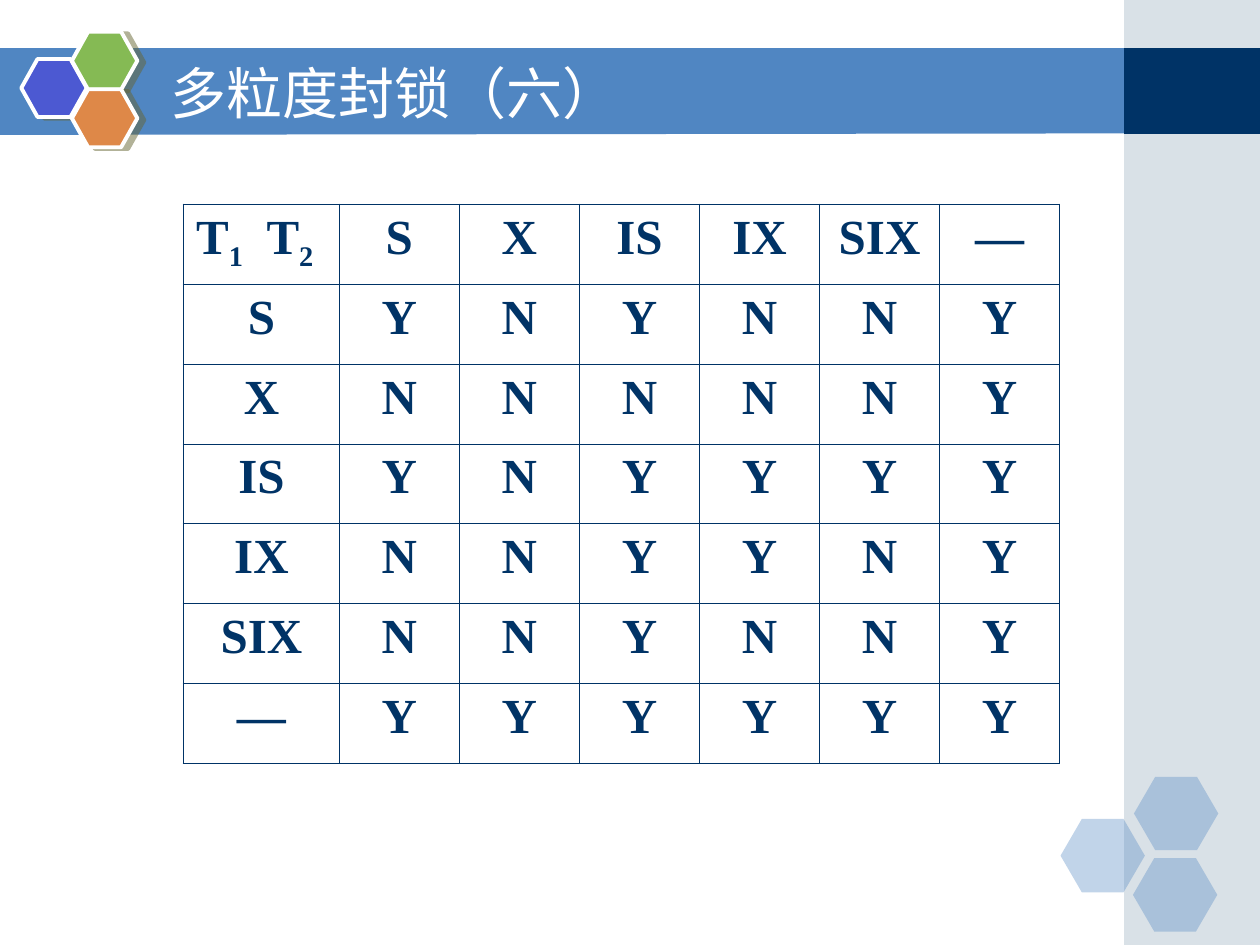
from lxml import etree
from pptx import Presentation
from pptx import util as u
from pptx.dml.color import RGBColor
from pptx.enum import shapes, text
from pptx.oxml import ns

COLORS = {
    "band": "5086C2", "side": "A0B5C4", "navy": "003366", "white": "FFFFFF",
    "violet": "4C59D2", "green": "85BA54", "orange": "DE8848", "shadow": "666633",
}


def add_text(paragraph, content, size, color, font="Times New Roman", bold=False,
             align=text.PP_ALIGN.LEFT, baseline=0):
    paragraph.alignment = align
    run = paragraph.add_run()
    run.text = content
    run.font.size = u.Pt(size)
    run.font.name = font
    run.font.bold = bold
    run.font.color.rgb = RGBColor.from_string(COLORS[color])
    etree.SubElement(run.font._element, ns.qn("a:ea"), typeface=font)
    if baseline:
        run.font._element.set("baseline", str(baseline * 1000))


def style_shape(shape, color, opacity=100):
    shape.shadow.inherit = False
    shape.fill.solid()
    shape.fill.fore_color.rgb = RGBColor.from_string(COLORS[color])
    shape.line.fill.background()
    if opacity < 100:
        fill_color = shape._element.spPr.find(".//" + ns.qn("a:srgbClr"))
        etree.SubElement(fill_color, ns.qn("a:alpha"), val=str(opacity * 1000))


presentation = Presentation()
presentation.slide_width = u.Cm(25.4)
presentation.slide_height = u.Cm(19.05)
slide = presentation.slides.add_slide(presentation.slide_layouts[6])

# Title band, its lower edge rising slightly to the right
builder = slide.shapes.build_freeform(u.Cm(-0.03), u.Cm(0.97))
builder.add_line_segments([(u.Cm(22.73), u.Cm(0.97)), (u.Cm(22.73), u.Cm(2.69)),
                           (u.Cm(-0.03), u.Cm(2.72))])
style_shape(builder.convert_to_shape(), "band")

# Side panel and the dark end of the band
for top, height, color, opacity in [(0, 19.05, "side", 40), (0.97, 1.73, "navy", 100)]:
    panel = slide.shapes.add_shape(shapes.MSO_SHAPE.RECTANGLE, u.Cm(22.66), u.Cm(top),
                                   u.Cm(2.74), u.Cm(height))
    style_shape(panel, color, opacity)

# Pale hexagons in the lower right corner
for left, top in [(21.38, 16.51), (22.86, 15.66), (22.84, 17.3)]:
    hexagon = slide.shapes.add_shape(shapes.MSO_SHAPE.HEXAGON, u.Cm(left), u.Cm(top),
                                     u.Cm(1.7), u.Cm(1.48))
    hexagon.adjustments[0] = 0.29
    style_shape(hexagon, "band", 35)

# Outlined hexagons beside the title
for left, top, color in [(0.43, 1.19, "violet"), (1.45, 0.64, "green"), (1.45, 1.8, "orange")]:
    hexagon = slide.shapes.add_shape(shapes.MSO_SHAPE.HEXAGON, u.Cm(left), u.Cm(top),
                                     u.Cm(1.32), u.Cm(1.17))
    hexagon.adjustments[0] = 0.28
    style_shape(hexagon, color)
    hexagon.line.color.rgb = RGBColor.from_string(COLORS["white"])
    hexagon.line.width = u.Pt(2.25)
    effects = hexagon._element.spPr.find(ns.qn("a:effectLst"))
    shadow = etree.SubElement(effects, ns.qn("a:outerShdw"), blurRad="0",
                              dist=str(u.Pt(4.1)), dir=str(14 * 60000),
                              algn="ctr", rotWithShape="0")
    shadow_color = etree.SubElement(shadow, ns.qn("a:srgbClr"), val=COLORS["shadow"])
    etree.SubElement(shadow_color, ns.qn("a:alpha"), val="50000")

# Title
title = slide.shapes.add_textbox(u.Cm(3.18), u.Cm(1.07), u.Cm(18.62), u.Cm(1.57))
title.text_frame.word_wrap = True
title.text_frame.vertical_anchor = text.MSO_ANCHOR.MIDDLE
add_text(title.text_frame.paragraphs[0], "多粒度封锁（六）", size=32, color="white",
         font="DejaVu Sans")

# Lock compatibility matrix
modes = ["S", "X", "IS", "IX", "SIX", "—"]
compatibility = ["YNYNNY", "NNNNNY", "YNYYYY", "NNYYNY", "NNYNNY", "YYYYYY"]
rows = [[""] + modes] + [[mode, *answers] for mode, answers in zip(modes, compatibility)]
last = len(modes)
frame = slide.shapes.add_table(last + 1, last + 1, u.Cm(3.7), u.Cm(4.12),
                               u.Cm(17.66), u.Cm(11.27))
table = frame.table
table.first_row = False
table.horz_banding = False
for index in range(last + 1):
    table.columns[index].width = u.Cm(2.42 if index else 3.14)
    table.rows[index].height = u.Cm(1.61)

for row, labels in enumerate(rows):
    for column, label in enumerate(labels):
        cell = table.cell(row, column)
        properties = cell._tc.get_or_add_tcPr()
        outer_sides = {"lnL": column == 0, "lnR": column == last,
                       "lnT": row == 0, "lnB": row == last}
        for side, is_outer in outer_sides.items():
            border = etree.SubElement(properties, ns.qn("a:" + side),
                                      w=str(u.Pt(1.08 if is_outer else 0.45)))
            border_fill = etree.SubElement(border, ns.qn("a:solidFill"))
            etree.SubElement(border_fill, ns.qn("a:srgbClr"), val=COLORS["navy"])
        cell.fill.background()
        if label:
            add_text(cell.text_frame.paragraphs[0], label, size=28, color="navy",
                     bold=True, align=text.PP_ALIGN.CENTER)

# Corner cell: a tab stop separates the two transactions
corner = table.cell(0, 0).text_frame.paragraphs[0]
tabs = etree.SubElement(corner._p.get_or_add_pPr(), ns.qn("a:tabLst"))
etree.SubElement(tabs, ns.qn("a:tab"), pos=str(u.Cm(1.42)), algn="l")
for content, baseline in [("T", 0), ("1", -25), ("\tT", 0), ("2", -25)]:
    add_text(corner, content, size=28, color="navy", bold=True, baseline=baseline)

presentation.save("out.pptx")
